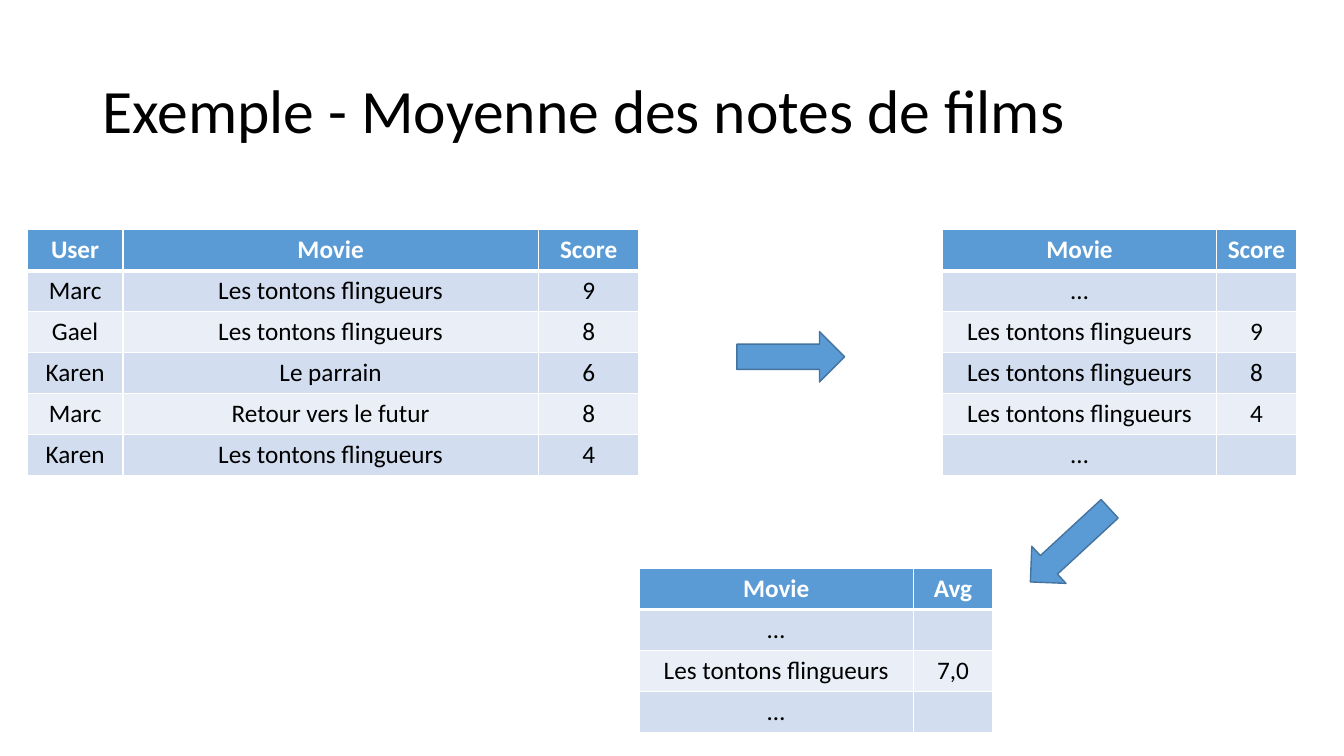
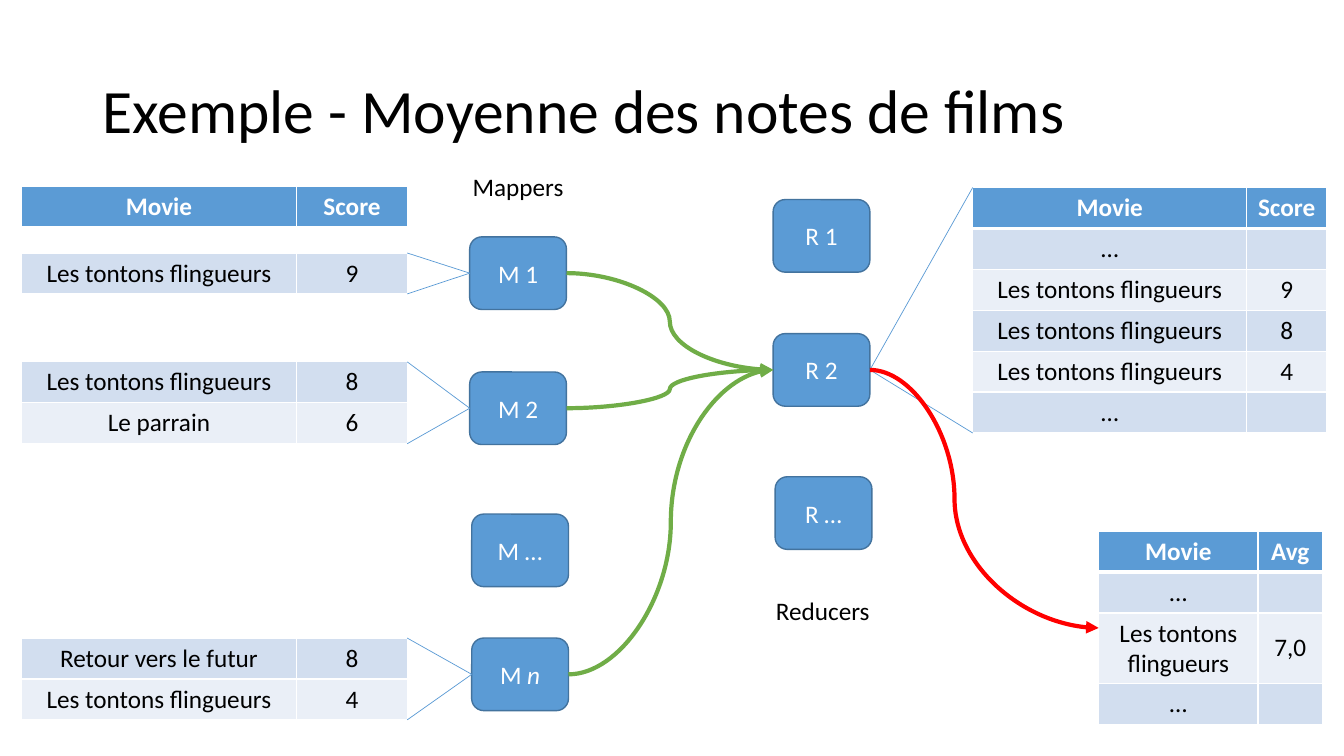
"""Build two slides that explain the average of film scores with map and reduce."""
from dataclasses import dataclass
from typing import Optional

from lxml import etree
from pptx import Presentation
from pptx.dml.color import RGBColor
from pptx.enum.shapes import MSO_CONNECTOR, MSO_SHAPE
from pptx.enum.text import MSO_ANCHOR, MSO_AUTO_SIZE, PP_ALIGN
from pptx.oxml.ns import qn
from pptx.shapes.autoshape import Shape
from pptx.shapes.connector import Connector
from pptx.slide import Slide
from pptx.text.text import Font
from pptx.util import Inches, Length, Pt

STRAIGHT, CURVE = MSO_CONNECTOR.STRAIGHT, MSO_CONNECTOR.CURVE
ROUNDED, RIGHT_ARROW = MSO_SHAPE.ROUNDED_RECTANGLE, MSO_SHAPE.RIGHT_ARROW
MIDDLE, CENTER = MSO_ANCHOR.MIDDLE, PP_ALIGN.CENTER
LEFT_SIDE, RIGHT_SIDE = 1, 3

GRID_UNIT = 0.1
GRID_COLUMNS, GRID_ROWS = 133.33, 75
TABLE_ROW = 4.06
NODE_WIDTH, NODE_HEIGHT = 9.6, 7.2
ARROW_WIDTH, ARROW_HEIGHT = 10.7, 5

FONT_NAME = "Calibri"
BLUE, DARK_BLUE, GREEN, RED = "5B9BD5", "43739E", "70AD47", "FF0000"
WHITE, BLACK = "FFFFFF", "000000"
BANDS = ("D2DEEF", "EAEFF7")

TITLE = "Exemple - Moyenne des notes de films"
FILM = "Les tontons flingueurs"
GROUPED = (("…", ""), (FILM, "9"), (FILM, "8"), (FILM, "4"), ("…", ""))
AVERAGE = (("…", ""), (FILM, "7,0"), ("…", ""))
SCORE_HEADER, AVERAGE_HEADER = ("Movie", "Score"), ("Movie", "Avg")
WIDE_COLUMNS, SPLIT_COLUMNS = (27.2, 7.9), (27.35, 10.95)


@dataclass(frozen=True)
class Grid:
    """A table placed on the slide grid."""

    left: float
    top: float
    columns: tuple[float, ...]
    header: tuple[str, ...] = ()
    body: tuple[tuple[str, ...], ...] = ()

    @property
    def right(self) -> float:
        """Return the right edge."""
        return self.left + sum(self.columns)

    @property
    def bottom(self) -> float:
        """Return the bottom edge."""
        return self.top + TABLE_ROW * (len(self.body) + bool(self.header))


@dataclass(frozen=True)
class Node:
    """A mapper or reducer box, with the table it reads if there is one."""

    left: float
    top: float
    label: str
    italic: str = ""
    source: Optional[Grid] = None


@dataclass(frozen=True)
class Label:
    """A caption beside a group of nodes."""

    left: float
    top: float
    width: float
    text: str


@dataclass(frozen=True)
class Arrow:
    """A block arrow between two tables."""

    left: float
    top: float
    rotation: float = 0


OVERVIEW_TABLES = (
    Grid(2.7, 22.8, (9.5, 41.2, 10), ("User", "Movie", "Score"), (
        ("Marc", FILM, "9"),
        ("Gael", FILM, "8"),
        ("Karen", "Le parrain", "6"),
        ("Marc", "Retour vers le futur", "8"),
        ("Karen", FILM, "4"),
    )),
    Grid(93.5, 22.8, WIDE_COLUMNS, SCORE_HEADER, GROUPED),
    Grid(63.4, 56.4, WIDE_COLUMNS, AVERAGE_HEADER, AVERAGE),
)
OVERVIEW_ARROWS = (Arrow(73.1, 32.9), Arrow(100.8, 51.6, 137.3))

SPLIT_HEADER = Grid(2.1, 18.5, SPLIT_COLUMNS, SCORE_HEADER)
GROUPED_TABLE = Grid(96.5, 18.6, WIDE_COLUMNS, SCORE_HEADER, GROUPED)
AVERAGE_TABLE = Grid(109, 52.7, (15.8, 6.4), AVERAGE_HEADER, AVERAGE)
AVERAGE_ENTRY = 62.3
MAPPERS = (
    Node(46.6, 23.5, "M 1", source=Grid(2.1, 25.1, SPLIT_COLUMNS, body=((FILM, "9"),))),
    Node(46.6, 36.9, "M 2", source=Grid(
        2.1, 35.9, SPLIT_COLUMNS, body=((FILM, "8"), ("Le parrain", "6")))),
    Node(46.8, 51, "M …"),
    Node(46.8, 63.3, "M ", "n", Grid(
        2.1, 63.3, SPLIT_COLUMNS, body=(("Retour vers le futur", "8"), (FILM, "4")))),
)
REDUCERS = (Node(76.7, 19.8, "R 1"), Node(76.7, 33.1, "R 2"), Node(76.9, 47.3, "R …"))
LABELS = (Label(45.9, 16.5, 11.1, "Mappers"), Label(76, 58.6, 11.4, "Reducers"))


def units(count: float) -> Length:
    """Convert grid units to a length."""
    return Inches(count * GRID_UNIT)


def color(value: str) -> RGBColor:
    """Convert a hex string to a colour."""
    return RGBColor.from_string(value)


def style_font(font: Font, ink: str, size: float = 18, bold: bool = False) -> None:
    """Apply the shared typeface."""
    font.name, font.size, font.bold = FONT_NAME, Pt(size), bold
    font.color.rgb = color(ink)


def add_label(slide: Slide, label: Label) -> None:
    """Add a caption that does not wrap."""
    box = slide.shapes.add_textbox(
        units(label.left), units(label.top), units(label.width), units(4))
    frame = box.text_frame
    frame.word_wrap = False
    frame.auto_size = MSO_AUTO_SIZE.SHAPE_TO_FIT_TEXT
    frame.text = label.text
    style_font(frame.paragraphs[0].font, BLACK)


def add_titled_slide(presentation: Presentation) -> Slide:
    """Add a blank slide with the shared title."""
    slide = presentation.slides.add_slide(presentation.slide_layouts[6])
    box = slide.shapes.add_textbox(units(9.2), units(4), units(115), units(14.5))
    frame = box.text_frame
    frame.word_wrap = True
    frame.vertical_anchor = MIDDLE
    frame.text = TITLE
    paragraph = frame.paragraphs[0]
    paragraph.line_spacing = 0.9
    style_font(paragraph.font, BLACK, 44)
    return slide


def set_borders(properties: etree._Element, bottom: float) -> None:
    """Give a cell white borders."""
    widths = {"a:lnL": 1, "a:lnR": 1, "a:lnT": 1, "a:lnB": bottom}
    for position, (tag, width) in enumerate(widths.items()):
        border = etree.Element(qn(tag), w=str(Pt(width)))
        fill = etree.SubElement(border, qn("a:solidFill"))
        etree.SubElement(fill, qn("a:srgbClr"), val=WHITE)
        properties.insert(position, border)


def add_grid(slide: Slide, grid: Grid) -> None:
    """Draw a table with an optional header and banded rows."""
    rows = ((grid.header,) if grid.header else ()) + grid.body
    table = slide.shapes.add_table(
        len(rows), len(grid.columns), units(grid.left), units(grid.top),
        units(sum(grid.columns)), units(TABLE_ROW * len(rows))).table
    table.first_row = bool(grid.header)
    table.horz_banding = False
    for column, width in zip(table.columns, grid.columns):
        column.width = units(width)
    for row_index, row in enumerate(rows):
        is_header = bool(grid.header) and row_index == 0
        band = BANDS[(row_index - bool(grid.header)) % len(BANDS)]
        for column_index, text in enumerate(row):
            cell = table.cell(row_index, column_index)
            cell.text = text
            cell.vertical_anchor = MIDDLE
            cell.fill.solid()
            cell.fill.fore_color.rgb = color(BLUE if is_header else band)
            paragraph = cell.text_frame.paragraphs[0]
            paragraph.alignment = CENTER
            style_font(paragraph.font, WHITE if is_header else BLACK, bold=is_header)
            set_borders(cell.fill._xPr, 3 if is_header else 1)


def add_blue_shape(slide: Slide, kind: MSO_SHAPE, left: float, top: float,
                   width: float, height: float) -> Shape:
    """Add a flat blue shape with a dark outline."""
    shape = slide.shapes.add_shape(
        kind, units(left), units(top), units(width), units(height))
    shape.shadow.inherit = False
    shape.fill.solid()
    shape.fill.fore_color.rgb = color(BLUE)
    shape.line.color.rgb = color(DARK_BLUE)
    shape.line.width = Pt(1)
    return shape


def add_node(slide: Slide, node: Node) -> Shape:
    """Add a labelled mapper or reducer."""
    shape = add_blue_shape(slide, ROUNDED, node.left, node.top, NODE_WIDTH, NODE_HEIGHT)
    shape.text_frame.vertical_anchor = MIDDLE
    paragraph = shape.text_frame.paragraphs[0]
    paragraph.alignment = CENTER
    style_font(paragraph.font, WHITE)
    paragraph.add_run().text = node.label
    if node.italic:
        run = paragraph.add_run()
        run.text = node.italic
        run.font.italic = True
    return shape


def side_middle(shape: Shape, side: int) -> tuple[Length, Length]:
    """Return the middle of a shape's left or right side."""
    offset = shape.width if side == RIGHT_SIDE else 0
    return shape.left + offset, shape.top + shape.height // 2


def style_connector(connector: Connector, ink: str, width: float) -> None:
    """Set a connector's line and remove its shadow."""
    connector.line.color.rgb = color(ink)
    connector.line.width = Pt(width)
    etree.SubElement(connector.element.spPr, qn("a:effectLst"))


def add_fan(slide: Slide, grid: Grid, edge: float, shape: Shape, side: int) -> None:
    """Join both corners of a table's edge to a node."""
    for corner in (grid.top, grid.bottom):
        connector = slide.shapes.add_connector(
            STRAIGHT, units(edge), units(corner), *side_middle(shape, side))
        connector.end_connect(shape, side)
        style_connector(connector, BLUE, 0.5)


def add_flow(slide: Slide, begin: Shape, end: tuple[Length, Length], ink: str,
             bend: float = 0.5) -> Connector:
    """Add a curved arrow from a node's right side."""
    connector = slide.shapes.add_connector(CURVE, *side_middle(begin, RIGHT_SIDE), *end)
    connector.begin_connect(begin, RIGHT_SIDE)
    style_connector(connector, ink, 3)
    properties = connector.element.spPr
    etree.SubElement(properties.find(qn("a:ln")), qn("a:tailEnd"), type="triangle")
    adjustments = properties.find(qn("a:prstGeom")).find(qn("a:avLst"))
    etree.SubElement(
        adjustments, qn("a:gd"), name="adj1", fmla=f"val {round(bend * 100000)}")
    return connector


def build_overview(presentation: Presentation) -> None:
    """Show the scores, their grouping and the average."""
    slide = add_titled_slide(presentation)
    for grid in OVERVIEW_TABLES:
        add_grid(slide, grid)
    for arrow in OVERVIEW_ARROWS:
        shape = add_blue_shape(
            slide, RIGHT_ARROW, arrow.left, arrow.top, ARROW_WIDTH, ARROW_HEIGHT)
        shape.rotation = arrow.rotation


def build_map_reduce(presentation: Presentation) -> None:
    """Show how mappers feed the reducer that computes the average."""
    slide = add_titled_slide(presentation)
    sources = [node.source for node in MAPPERS if node.source]
    for grid in (SPLIT_HEADER, *sources, GROUPED_TABLE, AVERAGE_TABLE):
        add_grid(slide, grid)
    mappers = [add_node(slide, node) for node in MAPPERS]
    _, reducer, _ = [add_node(slide, node) for node in REDUCERS]
    add_fan(slide, GROUPED_TABLE, GROUPED_TABLE.left, reducer, RIGHT_SIDE)
    for node, mapper in zip(MAPPERS, mappers):
        if node.source:
            add_fan(slide, node.source, node.source.right, mapper, LEFT_SIDE)
            flow = add_flow(slide, mapper, side_middle(reducer, LEFT_SIDE), GREEN)
            flow.end_connect(reducer, LEFT_SIDE)
    add_flow(slide, reducer, (units(AVERAGE_TABLE.left), units(AVERAGE_ENTRY)), RED, 0.37)
    for label in LABELS:
        add_label(slide, label)


def main() -> None:
    """Create and save the presentation."""
    presentation = Presentation()
    presentation.slide_width = units(GRID_COLUMNS)
    presentation.slide_height = units(GRID_ROWS)
    build_overview(presentation)
    build_map_reduce(presentation)
    presentation.save("out.pptx")


if __name__ == "__main__":
    main()
